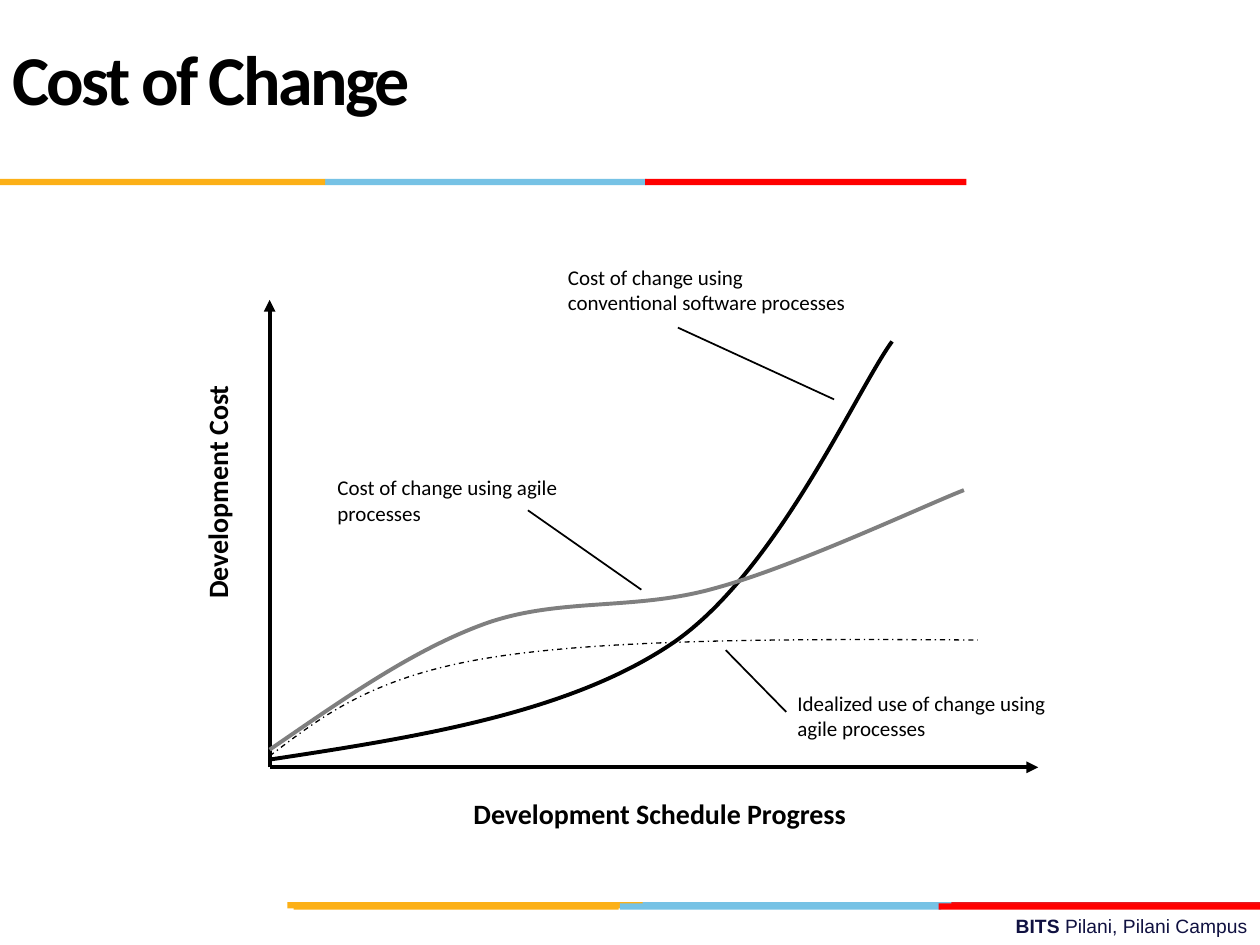
from lxml.etree import SubElement
from pptx import Presentation
from pptx.dml.color import RGBColor
from pptx.enum.dml import MSO_LINE_DASH_STYLE as Dash
from pptx.enum.shapes import MSO_CONNECTOR as Connector, MSO_SHAPE as Shape
from pptx.enum.text import MSO_ANCHOR as Anchor, MSO_AUTO_SIZE as AutoSize, PP_ALIGN as Align
from pptx.oxml.ns import qn
from pptx.util import Pt

PX = 9144
COLORS = {
    "ink": "000000", "paper": "FFFFFF", "agile": "7F7F7F", "campus": "101141",
    "yellow": "FCB017", "blue": "76C2E5", "red": "FF0000", "crimson": "E31C24",
}
TITLE_FONT = {"name": "Calibri", "size": Pt(40), "bold": True}
AXIS_FONT = {"name": "Calibri", "size": Pt(16), "bold": True}
NOTE_FONT = {"name": "Calibri", "size": Pt(12), "bold": False}
CAMPUS_FONT = {"name": "Arial", "size": Pt(11)}


def rgb(color):
    """Return the palette colour with the given name."""
    return RGBColor.from_string(COLORS[color])


def emu(*lengths):
    """Turn px lengths into EMU."""
    return [length * PX for length in lengths]


def format_with(target, values):
    """Set each named attribute of the target."""
    for name, value in values.items():
        setattr(target, name, value)


def write(paragraph, text, font, color="ink"):
    """Add a formatted run and return it."""
    run = paragraph.add_run()
    run.text = text
    format_with(run.font, font)
    run.font.color.rgb = rgb(color)
    return run


def add_block(shapes, box, color):
    """Add a plain filled rectangle."""
    block = shapes.add_shape(Shape.RECTANGLE, *emu(*box))
    block.shadow.inherit = False
    block.fill.solid()
    block.fill.fore_color.rgb = rgb(color)
    block.line.fill.background()
    return block


def add_label(slide, box, text, font, vertical=False):
    """Add a white label with text from its top left."""
    label = add_block(slide.shapes, box, "paper")
    frame = label.text_frame
    format_with(frame, {"word_wrap": True, "vertical_anchor": Anchor.TOP})
    if vertical:
        frame._txBody.bodyPr.set("vert", "vert270")
    frame.paragraphs[0].alignment = Align.LEFT
    write(frame.paragraphs[0], text, font)


def add_line(slide, start, end, width, arrow=False):
    """Add a straight line, with an arrowhead at its end if asked."""
    line = slide.shapes.add_connector(Connector.STRAIGHT, *emu(*start, *end))
    line.line.color.rgb = rgb("ink")
    line.line.width = Pt(width)
    if arrow:
        SubElement(line.line._get_or_add_ln(), qn("a:tailEnd"), type="triangle")
    SubElement(line._element.spPr, qn("a:effectLst"))


def add_curve(slide, points, color, width, dash=None):
    """Add an open cubic curve: a start, then three points a segment."""
    builder = slide.shapes.build_freeform(*points[0], scale=PX)
    builder.add_line_segments(points[1:], close=False)
    curve = builder.convert_to_shape()
    curve.shadow.inherit = False
    curve.fill.background()
    curve.line.color.rgb = rgb(color)
    curve.line.width = Pt(width)
    if dash:
        curve.line.dash_style = dash
    steps = list(curve._element.iter(qn("a:lnTo")))
    outline = steps[0].getparent()
    for first in range(0, len(steps), 3):
        bezier = SubElement(outline, qn("a:cubicBezTo"))
        for step in steps[first:first + 3]:
            bezier.append(step[0])
            outline.remove(step)


def add_stripes(slide, box, stripes):
    """Group a row of coloured stripes given as left, width and colour."""
    left, top, height = box
    row = slide.shapes.add_group_shape().shapes
    for offset, width, color in stripes:
        add_block(row, (left + offset, top, width, height), color)


def add_heading(slide, box):
    """Place the title and the stripes below it."""
    left, top, width, height = box
    title = slide.shapes.title
    places = zip(("left", "top", "width", "height"), emu(left, top, width, height))
    format_with(title, dict(places))
    frame = title.text_frame
    format_with(frame, {"word_wrap": True, "auto_size": AutoSize.NONE,
                        "vertical_anchor": Anchor.MIDDLE})
    frame.paragraphs[0].alignment = Align.LEFT
    run = write(frame.paragraphs[0], "Cost of Change", TITLE_FONT)
    run._r.get_or_add_rPr().set("spc", "-150")
    add_stripes(slide, (left, top + 119, 5),
                [(258, 255, "blue"), (0, 258, "yellow"), (512, 255, "red")])


def add_cost_graph(slide, box):
    """Draw the axes, three cost curves and their labels."""
    left, top = box

    def at(*points):
        return [(left + x, top + y) for x, y in points]

    for tip in ((670, 404), (60, 33)):
        add_line(slide, *at((60, 404), tip), 2.25, arrow=True)

    conventional = at((59, 398), (178, 380), (297, 361), (379, 306),
                      (462, 250), (525, 106), (554, 66))
    agile = at((60, 390), (117, 351), (173, 311), (231, 290), (290, 269),
               (349, 280), (413, 262), (476, 245), (578, 197), (611, 184))
    idealized = at((60, 395), (101, 364), (141, 332), (235, 317),
                   (328, 302), (475, 302), (622, 303))
    add_curve(slide, conventional, "ink", 2.25)
    add_curve(slide, agile, "agile", 2.25)
    add_curve(slide, idealized, "ink", 0.75, Dash.DASH_DOT)

    labels = [
        ((0, 64), (53, 216), "Development Cost", AXIS_FONT, True),
        ((212, 422), (343, 39), "Development Schedule Progress", AXIS_FONT, False),
        ((104, 167), (232, 52), "Cost of change using agile processes", NOTE_FONT, False),
        ((287, 0), (244, 64), "Cost of change using conventional software processes",
         NOTE_FONT, False),
        ((469, 338), (232, 52), "Idealized use of change using agile processes",
         NOTE_FONT, False),
    ]
    for corner, size, text, font, vertical in labels:
        add_label(slide, (*at(corner)[0], *size), text, font, vertical)

    leaders = [((508, 112), (384, 55)), ((355, 263), (265, 200)), ((470, 360), (422, 311))]
    for leader in leaders:
        add_line(slide, *at(*leader), 1)


def add_footer(slide, box):
    """Place the two footer stripe rows and the campus name."""
    left, top, width, height = box
    add_stripes(slide, (left, top, 5),
                [(278, 255, "blue"), (527, 245, "crimson"), (0, 282, "yellow")])
    add_stripes(slide, (left, top + 1, 5),
                [(264, 255, "blue"), (5, 258, "yellow"), (517, 255, "red")])
    campus = slide.shapes.add_textbox(*emu(left + 130, top + 5, width - 130, height - 5))
    campus.text_frame.word_wrap = True
    paragraph = campus.text_frame.paragraphs[0]
    paragraph.alignment = Align.RIGHT
    for text, bold in (("BITS ", True), ("Pilani, Pilani Campus", False)):
        write(paragraph, text, {**CAMPUS_FONT, "bold": bold}, "campus")


def main():
    """Build and save the slide."""
    deck = Presentation()
    deck.slide_width, deck.slide_height = emu(1000, 750)
    slide = deck.slides.add_slide(deck.slide_layouts.get_by_name("Title Only"))
    add_footer(slide, (228, 716, 772, 34))
    add_heading(slide, (0, 23, 413, 77))
    add_cost_graph(slide, (154, 205))
    deck.save("out.pptx")


if __name__ == "__main__":
    main()
